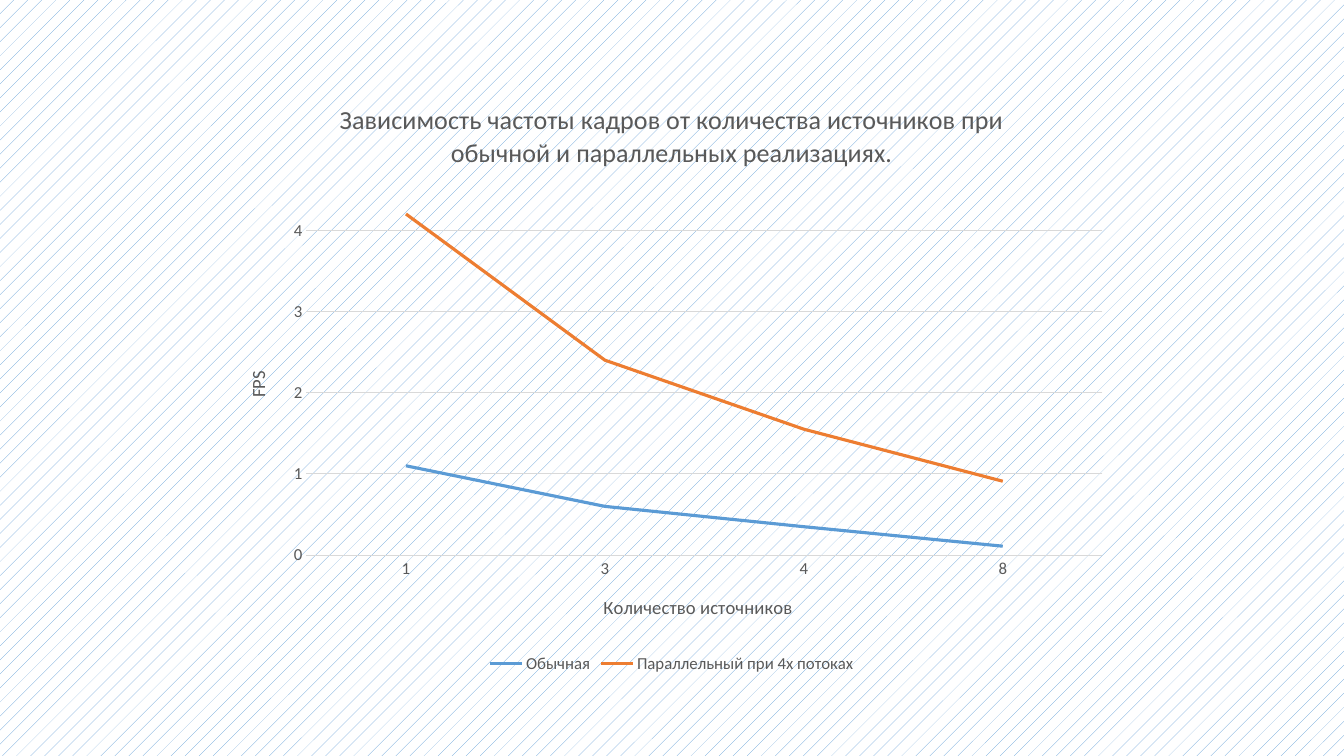
from pptx import Presentation
from pptx.chart.data import CategoryChartData
from pptx.dml.color import RGBColor
from pptx.enum import chart as ch, dml
from pptx.util import Inches, Pt

BLUE, ORANGE, GRAY, PALE = "5B9BD5", "ED7D31", "595959", "D9D9D9"
SOURCES = ["1", "3", "4", "8"]
FPS_SERIES = [
    ("Обычная", [1.1, 0.6, 0.35, 0.11], BLUE),
    ("Параллельный при 4х потоках", [3.1, 1.8, 1.2, 0.8], ORANGE),
]


def rgb(color):
    return RGBColor.from_string(color)


def format_font(font, size=12, color=GRAY, name="Calibri", bold=False):
    font.size, font.name, font.bold = Pt(size), name, bold
    font.color.rgb = rgb(color)


def put_text(frame, text, **style):
    frame.text = text
    format_font(frame.paragraphs[0].runs[0].font, **style)


def format_line(line, color, width):
    line.color.rgb = rgb(color)
    line.width = Pt(width)


def set_background(slide, fore, back):
    fill = slide.background.fill
    fill.patterned()
    fill.pattern = dml.MSO_PATTERN.PERCENT_5
    fill.fore_color.rgb = rgb(fore)
    fill.back_color.rgb = rgb(back)


def format_axis(axis, title):
    put_text(axis.axis_title.text_frame, title, size=13.3)
    format_font(axis.tick_labels.font)
    axis.major_tick_mark = axis.minor_tick_mark = ch.XL_TICK_MARK.NONE


def add_fps_chart(slide):
    fps_data = CategoryChartData()
    fps_data.categories = SOURCES
    for name, values, _ in FPS_SERIES:
        fps_data.add_series(name, values)
    chart = slide.shapes.add_chart(
        ch.XL_CHART_TYPE.LINE_STACKED, Inches(2.22), Inches(0.79),
        Inches(8.89), Inches(5.93), fps_data).chart
    format_font(chart.font)
    put_text(chart.chart_title.text_frame,
             "Зависимость частоты кадров от количества источников при "
             "обычной и параллельных реализациях.", size=18.6)
    chart.chart_title.include_in_layout = False

    # Axes and grid
    format_axis(chart.category_axis, "Количество источников")
    format_line(chart.category_axis.format.line, PALE, 0.75)
    fps_axis = chart.value_axis
    format_axis(fps_axis, "FPS")
    fps_axis.minimum_scale, fps_axis.maximum_scale = 0, 4.5
    fps_axis.major_unit = 1
    fps_axis.format.line.fill.background()
    format_line(fps_axis.major_gridlines.format.line, PALE, 0.75)

    # Legend
    chart.has_legend = True
    chart.legend.position = ch.XL_LEGEND_POSITION.BOTTOM
    chart.legend.include_in_layout = False
    format_font(chart.legend.font)

    # Lines
    chart.plots[0].vary_by_categories = False
    for series, (_, _, color) in zip(chart.plots[0].series, FPS_SERIES):
        series.smooth = False
        series.marker.style = ch.XL_MARKER_STYLE.NONE
        format_line(series.format.line, color, 2.25)


def main():
    prs = Presentation()
    prs.slide_width, prs.slide_height = Inches(13.33), Inches(7.5)
    slide = prs.slides.add_slide(prs.slide_layouts[6])
    set_background(slide, BLUE, "FFFFFF")
    add_fps_chart(slide)
    prs.save("out.pptx")


if __name__ == "__main__":
    main()
